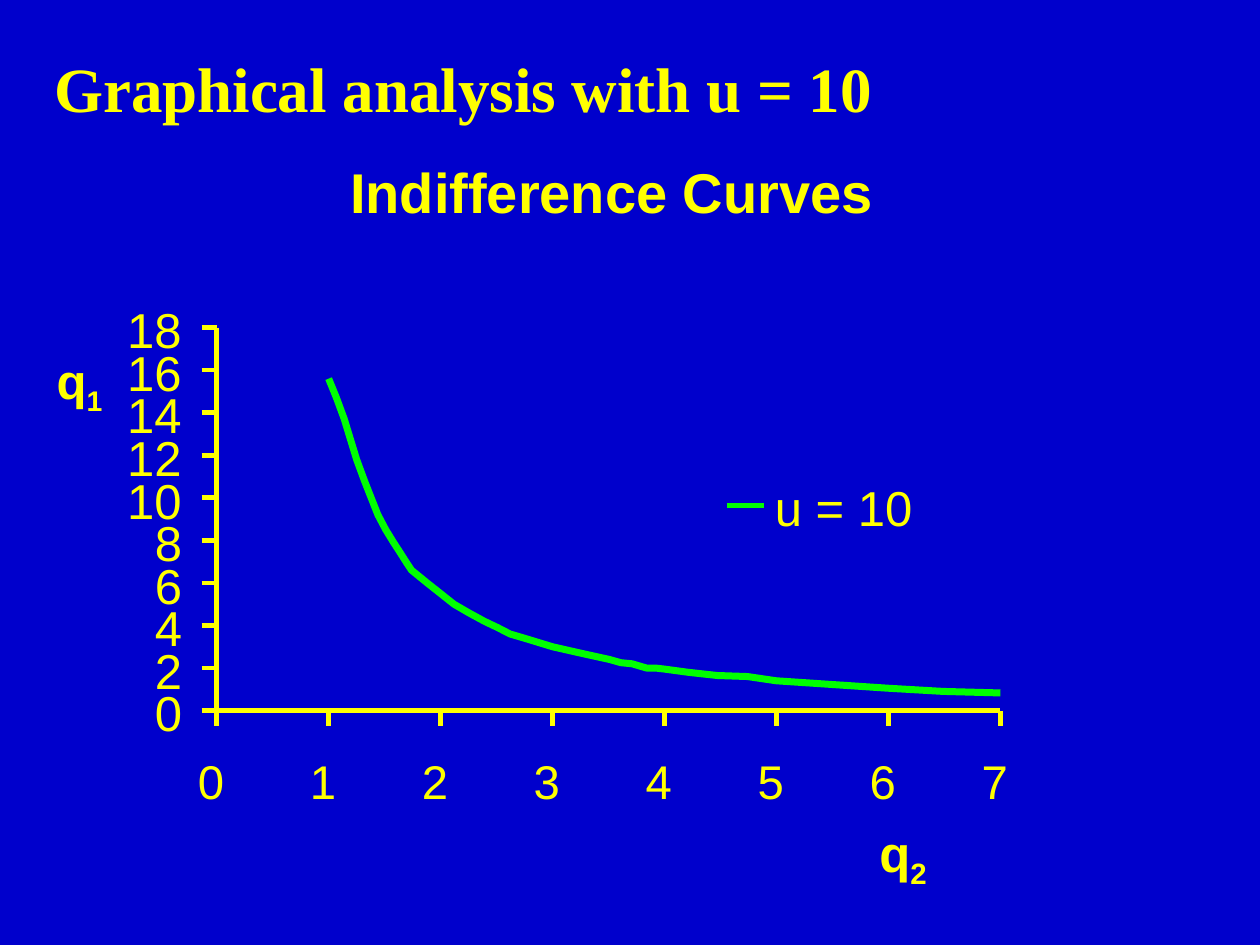
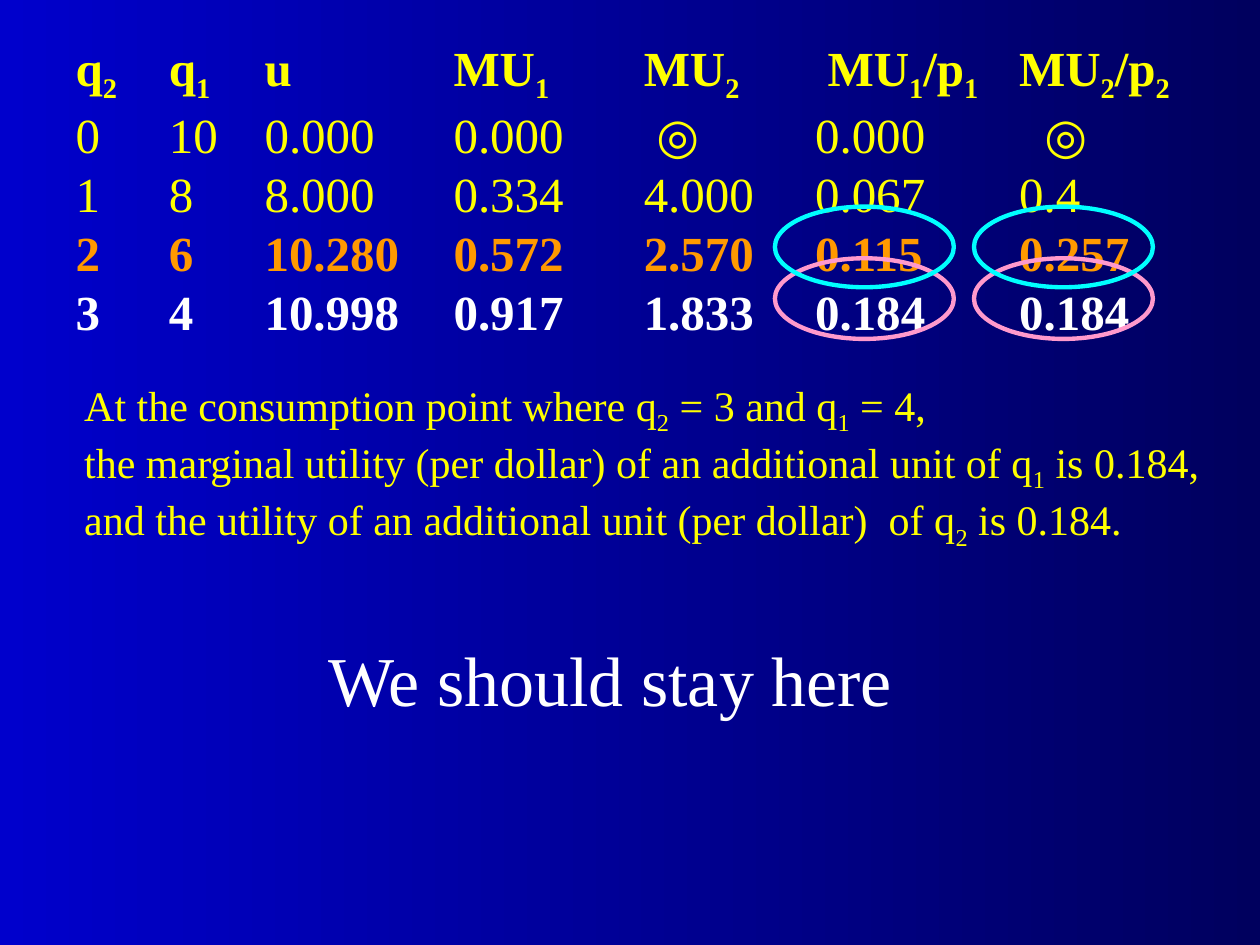
from pptx import Presentation
from pptx.dml.color import RGBColor
from pptx.enum.shapes import MSO_CONNECTOR, MSO_SHAPE
from pptx.enum.text import MSO_ANCHOR, MSO_AUTO_SIZE, PP_ALIGN
from pptx.oxml.ns import qn
from pptx.util import Inches, Pt
from lxml import etree

STRAIGHT = MSO_CONNECTOR.STRAIGHT
ELLIPSE = MSO_SHAPE.OVAL
TOP = MSO_ANCHOR.TOP
LEFT = PP_ALIGN.LEFT
NO_AUTOFIT = MSO_AUTO_SIZE.NONE

BLUE, NAVY = "0000CC", "00005E"
YELLOW, ORANGE, WHITE = "FFFF00", "FF9900", "FFFFFF"
GREEN, PINK, CYAN = "00FF00", "FF99CC", "00FFFF"
SERIF, SANS = "Times New Roman", "Arial"
NO_GRID_STYLE = "{2D5ABB26-0587-4C30-8999-92F81FD0307C}"

# Graph frame in inches, and the largest value on each axis
ORIGIN_X, ORIGIN_Y = 1.72, 5.64
AXIS_WIDTH, AXIS_HEIGHT = 6.22, 3.04
Q2_MAX, Q1_MAX = 7, 18
TICK = 0.12

# (q2, q1) along the indifference curve
CURVE = [
    (1, 15.6), (1.07, 14.7), (1.14, 13.7), (1.25, 11.8), (1.32, 10.8),
    (1.38, 10), (1.44, 9.2), (1.51, 8.5), (1.58, 7.9), (1.63, 7.5),
    (1.69, 7), (1.74, 6.6), (1.88, 6), (2, 5.5), (2.12, 5), (2.25, 4.6),
    (2.39, 4.2), (2.51, 3.9), (2.62, 3.6), (2.75, 3.4), (3, 3),
    (3.25, 2.7), (3.51, 2.4), (3.61, 2.25), (3.71, 2.2), (3.84, 2),
    (3.92, 2), (4, 1.95), (4.21, 1.8), (4.47, 1.65), (4.74, 1.6),
    (5, 1.4), (6, 1.05), (6.49, 0.9), (7, 0.83),
]

UTILITY_ROWS = [
    ("q_2", "q_1", "u", "MU_1", "MU_2", "MU_1/p_1", "MU_2/p_2"),
    ("0", "10", "0.000", "0.000", "◎", "0.000", "◎"),
    ("1", "8", "8.000", "0.334", "4.000", "0.067", "0.4"),
    ("2", "6", "10.280", "0.572", "2.570", "0.115", "0.257"),
    ("3", "4", "10.998", "0.917", "1.833", "0.184", "0.184"),
]
ROW_FORMATS = [(YELLOW, True), (YELLOW, False), (YELLOW, False),
               (ORANGE, True), (WHITE, True)]
COLUMN_WIDTHS = [0.74, 0.76, 1.5, 1.51, 1.36, 1.62, 1.65]
CELL_INDENTS = {(0, 5): 0.1, (1, 4): 0.1, (1, 6): 0.2}

EXPLANATION = [
    "At the consumption point where q_2 = 3 and q_1 = 4,",
    "the marginal utility (per dollar) of an additional unit of q_1 is 0.184,",
    "and the utility of an additional unit (per dollar)  of q_2 is 0.184.",
]


def rgb(color):
    return RGBColor.from_string(color)


def inches(*lengths):
    return [Inches(length) for length in lengths]


def x_at(q2):
    return ORIGIN_X + AXIS_WIDTH * q2 / Q2_MAX


def y_at(q1):
    return ORIGIN_Y - AXIS_HEIGHT * q1 / Q1_MAX


def write(p, text, size=28, name=SANS, color=YELLOW, bold=False):
    """Fill a paragraph; the character after each underscore is a subscript."""
    head, *tails = text.split("_")
    pieces = [(head, False)]
    for tail in tails:
        pieces += [(tail[0], True), (tail[1:], False)]
    for piece, subscript in pieces:
        if piece:
            r = p.add_run()
            r.text = piece
            r.font.size, r.font.name, r.font.bold = Pt(size), name, bold
            r.font.color.rgb = rgb(color)
            if subscript:
                r.font._element.set("baseline", "-25000")


def set_margins(area, x, y):
    area.margin_left = area.margin_right = Inches(x)
    area.margin_top = area.margin_bottom = Inches(y)


def add_text(s, box, lines, margins=(0.1, 0.05), **fmt):
    tf = s.shapes.add_textbox(*inches(*box)).text_frame
    tf.word_wrap = False
    set_margins(tf, *margins)
    for i, line in enumerate(lines):
        write(tf.add_paragraph() if i else tf.paragraphs[0], line, **fmt)


def add_label(s, box, text, **fmt):
    add_text(s, box, [text], margins=(0, 0), **fmt)


def set_title(s, box, text):
    title = s.shapes.title
    title.left, title.top, title.width, title.height = inches(*box)
    tf = title.text_frame
    tf.word_wrap, tf.auto_size, tf.vertical_anchor = False, NO_AUTOFIT, TOP
    set_margins(tf, 0.1, 0.05)
    tf.paragraphs[0].alignment = LEFT
    write(tf.paragraphs[0], text, size=36, name=SERIF, bold=True)


def add_line(s, x1, y1, x2, y2, color=YELLOW):
    line = s.shapes.add_connector(STRAIGHT, *inches(x1, y1, x2, y2))
    line.line.color.rgb = rgb(color)
    line.line.width = Pt(2.64)
    etree.SubElement(line._element.spPr, qn("a:effectLst"))


def add_q1_axis(s):
    add_line(s, ORIGIN_X, y_at(Q1_MAX), ORIGIN_X, ORIGIN_Y)
    for q1 in range(0, Q1_MAX + 1, 2):
        y, text = y_at(q1), str(q1)
        width = 0.22 * len(text)
        add_line(s, ORIGIN_X - TICK, y, ORIGIN_X, y)
        add_label(s, (1.45 - width, y - 0.22, width, 0.47), text)
    add_label(s, (0.45, 2.78, 0.39, 0.53), "q_1", bold=True)


def add_q2_axis(s):
    add_line(s, ORIGIN_X, ORIGIN_Y, x_at(Q2_MAX), ORIGIN_Y)
    for q2 in range(Q2_MAX + 1):
        x = x_at(q2)
        add_line(s, x, ORIGIN_Y + TICK, x, ORIGIN_Y)
        add_label(s, (x - 0.15, 5.97, 0.21, 0.45), str(q2), size=27)
    add_label(s, (6.98, 6.52, 0.6, 0.55), "q_2", size=29, bold=True)


def add_curve(s):
    start, *rest = [inches(x_at(q2), y_at(q1)) for q2, q1 in CURVE]
    builder = s.shapes.build_freeform(*start)
    builder.add_line_segments(rest, close=False)
    curve = builder.convert_to_shape()
    curve.shadow.inherit = False
    curve.fill.background()
    curve.line.color.rgb = rgb(GREEN)
    curve.line.width = Pt(4)


def add_legend(s):
    add_line(s, 5.77, 4.01, 6.06, 4.01, GREEN)
    add_label(s, (6.15, 3.79, 1.09, 0.47), "u = 10")


def add_utility_table(s):
    box = (0.6, 0.34, sum(COLUMN_WIDTHS), 2.41)
    table = s.shapes.add_table(len(UTILITY_ROWS), len(COLUMN_WIDTHS),
                               *inches(*box)).table
    table.first_row = table.horz_banding = False
    table._tbl.tblPr.find(qn("a:tableStyleId")).text = NO_GRID_STYLE
    for column, width in zip(table.columns, COLUMN_WIDTHS):
        column.width = Inches(width)
    for i, (row, (color, bold)) in enumerate(zip(UTILITY_ROWS, ROW_FORMATS)):
        table.rows[i].height = Inches(0.47 if i else 0.53)
        for j, text in enumerate(row):
            cell = table.cell(i, j)
            cell.fill.background()
            set_margins(cell, 0, 0)
            cell.margin_left = Inches(CELL_INDENTS.get((i, j), 0))
            write(cell.text_frame.paragraphs[0], text, name=SERIF,
                  color=color, bold=bold)


def add_ring(s, left, top, color):
    sp = s.shapes.add_shape(ELLIPSE, *inches(left, top, 1.42, 0.64))
    sp.shadow.inherit = False
    sp.fill.background()
    sp.line.color.rgb = rgb(color)
    sp.line.width = Pt(2.5)


def build_graph_slide(prs):
    s = prs.slides.add_slide(prs.slide_layouts[5])
    fill = s.background.fill
    fill.solid()
    fill.fore_color.rgb = rgb(BLUE)
    set_title(s, (0.33, 0.34, 7.5, 0.7), "Graphical analysis with u = 10")
    add_label(s, (2.78, 1.25, 4.16, 0.53), "Indifference Curves",
              size=32, bold=True)
    add_q1_axis(s)
    add_q2_axis(s)
    add_curve(s)
    add_legend(s)


def build_utility_slide(prs):
    s = prs.slides.add_slide(prs.slide_layouts[6])
    fill = s.background.fill
    fill.gradient()
    fill.gradient_angle = 180
    for stop, color in zip(fill.gradient_stops, (NAVY, BLUE)):
        stop.color.rgb = rgb(color)
    add_utility_table(s)
    add_text(s, (0.57, 2.96, 9.05, 1.47), EXPLANATION, size=24, name=SERIF)
    add_text(s, (2.51, 5, 4.71, 0.77), ["We should stay here"],
             size=40, name=SERIF, color=WHITE)
    for top, color in ((2.05, PINK), (1.64, CYAN)):
        for left in (6.15, 7.73):
            add_ring(s, left, top, color)


def main():
    prs = Presentation()
    prs.slide_width, prs.slide_height = inches(10, 7.5)
    build_graph_slide(prs)
    build_utility_slide(prs)
    prs.save("out.pptx")


if __name__ == "__main__":
    main()
